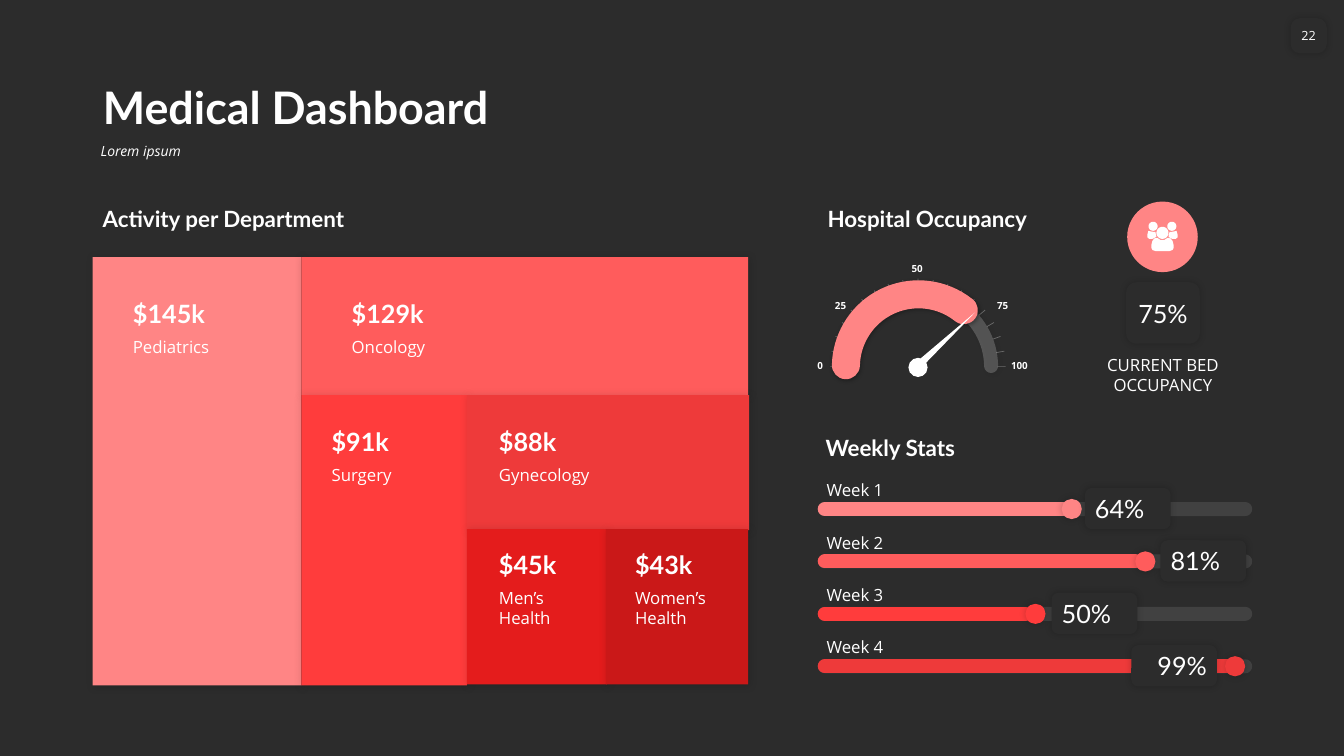
from dataclasses import dataclass
from math import cos, radians, sin

from lxml import etree
from pptx import Presentation
from pptx.dml.color import RGBColor
from pptx.enum.shapes import MSO_CONNECTOR, MSO_SHAPE as Preset
from pptx.enum.text import MSO_ANCHOR as Anchor, MSO_AUTO_SIZE as AutoSize, PP_ALIGN as Align
from pptx.oxml.ns import qn
from pptx.util import Inches, Pt


@dataclass(frozen=True)
class Theme:
    heading_font: str = "Lato"
    body_font: str = "Open Sans"
    background: str = "2C2C2C"
    white: str = "FFFFFF"
    rose: str = "FF8585"
    coral: str = "FF5C5C"
    red: str = "FF3C3C"
    brick: str = "EE3A3A"
    crimson: str = "E41C1C"
    garnet: str = "CA1818"
    title: int = 32
    value: int = 18
    heading: int = 16
    body: int = 12
    subtitle: int = 10
    page: int = 9
    scale: int = 7


THEME = Theme()

# Shadows: opacity %, blur pt, distance pt
SOFT = (20, 5, 0)
TILE = (15, 6, 1)
ARC = (30, 3, 1)

# Left, top, width, height, colour, text left, value top, text width, value, department
DEPARTMENTS = [
    (0.92, 2.55, 2.07, 4.25, THEME.rose, 1.22, 2.91, 1.86, "$145k", "Pediatrics"),
    (2.99, 2.55, 4.43, 1.37, THEME.coral, 3.39, 2.91, 1.86, "$129k", "Oncology"),
    (2.99, 3.92, 1.64, 2.88, THEME.red, 3.19, 4.18, 1.29, "$91k", "Surgery"),
    (4.63, 3.92, 2.8, 1.34, THEME.brick, 4.85, 4.18, 2.09, "$88k", "Gynecology"),
    (4.63, 5.25, 1.39, 1.54, THEME.crimson, 4.85, 5.4, 1.05, "$45k", "Men’s Health"),
    (6.01, 5.25, 1.41, 1.54, THEME.garnet, 6.2, 5.4, 1.05, "$43k", "Women’s Health"),
]

# Value, colour, bar end, knob left, badge left, badge alignment
WEEKS = [
    ("64%", THEME.rose, 10.6, 10.53, 10.76, Align.LEFT),
    ("81%", THEME.coral, 11.26, 11.26, 11.51, Align.LEFT),
    ("50%", THEME.red, 10.17, 10.17, 10.43, Align.LEFT),
    ("99%", THEME.brick, 12.27, 12.15, 11.22, Align.RIGHT),
]

# Label, left, top, width, alignment, anchor, wrap
GAUGE_LABELS = [
    ("0", 8, 3.52, 0.26, Align.RIGHT, Anchor.MIDDLE, False),
    ("25", 8.18, 2.92, 0.31, Align.RIGHT, Anchor.MIDDLE, False),
    ("50", 8.94, 2.55, 0.31, Align.RIGHT, Anchor.BOTTOM, False),
    ("75", 9.79, 2.92, 0.31, Align.LEFT, Anchor.MIDDLE, False),
    ("100", 9.93, 3.52, 0.45, Align.LEFT, Anchor.MIDDLE, True),
]


def box(*lengths):
    return [Inches(length) for length in lengths]


def set_text(shape, text, size, font=THEME.body_font, bold=False, italic=False,
             align=Align.LEFT, anchor=Anchor.TOP, wrap=True, inset=0.1):
    frame = shape.text_frame
    frame.word_wrap = wrap
    frame.vertical_anchor = anchor
    frame.margin_left = frame.margin_right = Inches(inset)
    frame.margin_top = frame.margin_bottom = Inches(0.05)
    frame.text = text
    paragraph = frame.paragraphs[0]
    paragraph.alignment = align
    run_font = paragraph.runs[0].font
    run_font.name, run_font.size = font, Pt(size)
    run_font.bold, run_font.italic = bold, italic
    run_font.color.rgb = RGBColor.from_string(THEME.white)
    return paragraph


def add_text(shapes, place, text, size, **style):
    shape = shapes.add_textbox(*box(*place))
    paragraph = set_text(shape, text, size, **style)
    shape.text_frame.auto_size = AutoSize.SHAPE_TO_FIT_TEXT
    return paragraph


def add_heading(shapes, left, top, text):
    add_text(shapes, (left, top, 4.34, 0.37), text, THEME.heading,
             font=THEME.heading_font, bold=True, anchor=Anchor.BOTTOM)


def set_alpha(color, percent):
    etree.SubElement(color, qn("a:alpha"), val=str(percent * 1000))


def set_shadow(shape, shadow):
    shape.shadow.inherit = False
    if shadow:
        opacity, blur, distance = shadow
        effects = shape.element.spPr.find(qn("a:effectLst"))
        outer = etree.SubElement(effects, qn("a:outerShdw"), blurRad=str(Pt(blur)),
                                 dist=str(Pt(distance)), dir=str(45 * 60000), rotWithShape="0")
        set_alpha(etree.SubElement(outer, qn("a:srgbClr"), val="000000"), opacity)


def add_filled(shapes, preset, place, color, shadow=None):
    shape = shapes.add_shape(preset, *box(*place))
    shape.fill.solid()
    shape.fill.fore_color.rgb = RGBColor.from_string(color)
    shape.line.fill.background()
    set_shadow(shape, shadow)
    return shape


def style_line(shape, color, width, opacity=100, cap="rnd"):
    shape.line.color.rgb = RGBColor.from_string(color)
    shape.line.width = Pt(width)
    outline = shape.element.spPr.find(qn("a:ln"))
    outline.set("cap", cap)
    if opacity < 100:
        set_alpha(outline.find(".//" + qn("a:srgbClr")), opacity)


def add_line(shapes, start, end, color, width, opacity=100, cap="rnd"):
    line = shapes.add_connector(MSO_CONNECTOR.STRAIGHT, *box(*start, *end))
    style_line(line, color, width, opacity, cap)
    etree.SubElement(line.element.spPr, qn("a:effectLst"))


def add_arc(shapes, start, end, color, width, opacity=100):
    arc = shapes.add_shape(Preset.ARC, *box(8.39, 2.92, 1.44, 1.44))
    arc.adjustments[0], arc.adjustments[1] = start, end
    arc.fill.background()
    style_line(arc, color, width, opacity)
    set_shadow(arc, ARC)


def add_department(shapes, left, top, width, height, color,
                   text_left, text_top, text_width, value, name):
    add_filled(shapes, Preset.RECTANGLE, (left, top, width, height), color, TILE)
    add_text(shapes, (text_left, text_top, text_width, 0.4), value, THEME.value,
             font=THEME.heading_font, bold=True, anchor=Anchor.BOTTOM)
    add_text(shapes, (text_left, text_top + 0.385, text_width, 0.3), name, THEME.body)


def add_gauge(shapes):
    gauge = shapes.add_group_shape().shapes
    center_x, center_y = 9.105, 3.635
    add_arc(gauge, 107.69, 215.58, THEME.white, 10, opacity=20)
    add_filled(gauge, Preset.OVAL, (9.01, 3.55, 0.19, 0.19), THEME.white)
    for angle in range(0, 181, 10):
        outer, inner = [(center_x - radius * cos(radians(angle)),
                         center_y - radius * sin(radians(angle))) for radius in (0.87, 0.79)]
        add_line(gauge, outer, inner, THEME.white, 0.5, opacity=30, cap="flat")
    for text, left, top, width, align, anchor, wrap in GAUGE_LABELS:
        add_text(gauge, (left, top, width, 0.22), text, THEME.scale, bold=True,
                 align=align, anchor=anchor, wrap=wrap)
    add_arc(gauge, 108.8, 185.2, THEME.rose, 20)
    needle = add_filled(shapes, Preset.ISOSCELES_TRIANGLE, (9.33, 2.97, 0.08, 0.82), THEME.white)
    needle.rotation = 47


def add_people_icon(shapes):
    middle = 11.53
    heads = [(middle - 0.093, 2.245, 0.045), (middle, 2.31, 0.06), (middle + 0.093, 2.245, 0.045)]
    contours = [[(x + radius * cos(radians(a)), y + radius * sin(radians(a)))
                 for a in range(0, 360, 15)] for x, y, radius in heads]
    # Half outlines, as distance from the middle and height
    side = [(0.06, 2.35), (0.1, 2.37), (0.13, 2.37), (0.15, 2.355), (0.15, 2.33),
            (0.14, 2.29), (0.12, 2.295), (0.09, 2.3), (0.07, 2.3)]
    body = [(0, 2.38), (0.02, 2.38), (0.05, 2.36), (0.08, 2.365), (0.1, 2.39),
            (0.11, 2.43), (0.11, 2.46), (0.1, 2.48), (0.07, 2.49)]
    left_side, right_side = [[(middle + sign * x, y) for x, y in side] for sign in (-1, 1)]
    torso = [(middle + x, y) for x, y in body] + [(middle - x, y) for x, y in reversed(body)]
    contours += [left_side, right_side, torso]
    builder = shapes.build_freeform(*box(*contours[0][0]))
    for index, points in enumerate(contours):
        if index:
            builder.move_to(*box(*points[0]))
        builder.add_line_segments([box(*point) for point in points[1:]], close=True)
    icon = builder.convert_to_shape()
    icon.fill.solid()
    icon.fill.fore_color.rgb = RGBColor.from_string(THEME.white)
    icon.line.fill.background()
    set_shadow(icon, None)


def add_week(shapes, number, value, color, bar_end, knob_left, badge_left, align):
    y = 5.05 + 0.52 * (number - 1)
    add_text(shapes, (8.1, y - 0.34, 1.94, 0.3), f"Week {number}", THEME.body,
             anchor=Anchor.BOTTOM)
    add_line(shapes, (8.18, y), (12.35, y), THEME.white, 10, opacity=10)
    add_line(shapes, (8.18, y), (bar_end, y), color, 10)
    add_filled(shapes, Preset.OVAL, (knob_left, y - 0.1, 0.2, 0.2), color, SOFT)
    badge = add_filled(shapes, Preset.ROUNDED_RECTANGLE, (badge_left, y - 0.21, 0.85, 0.41),
                       THEME.background, SOFT)
    set_text(badge, value, THEME.value, font=THEME.heading_font, align=align,
             anchor=Anchor.MIDDLE, inset=0.08)


def main():
    presentation = Presentation()
    presentation.slide_width, presentation.slide_height = box(13.33, 7.5)
    slide = presentation.slides.add_slide(presentation.slide_layouts[5])
    slide.background.fill.solid()
    slide.background.fill.fore_color.rgb = RGBColor.from_string(THEME.background)
    shapes = slide.shapes

    # Title, subtitle and page number
    title = shapes.title
    title.left, title.top, title.width, title.height = box(0.92, 0.58, 11.5, 0.8)
    set_text(title, "Medical Dashboard", THEME.title, font=THEME.heading_font, bold=True,
             anchor=Anchor.BOTTOM).line_spacing = 0.9
    add_text(shapes, (0.9, 1.38, 11.52, 0.36), "Lorem ipsum", THEME.subtitle,
             italic=True).line_spacing = 0.9
    page = add_filled(shapes, Preset.ROUNDED_RECTANGLE, (12.8, 0.18, 0.36, 0.35),
                      THEME.background, SOFT)
    page.adjustments[0] = 0.27
    set_text(page, "22", THEME.page, align=Align.CENTER, anchor=Anchor.MIDDLE,
             wrap=False, inset=0)

    # Activity treemap
    add_heading(shapes, 0.92, 1.98, "Activity per Department")
    for department in DEPARTMENTS:
        add_department(shapes, *department)

    # Occupancy gauge and summary
    add_heading(shapes, 8.11, 1.98, "Hospital Occupancy")
    add_gauge(shapes)
    badge = add_filled(shapes, Preset.ROUNDED_RECTANGLE, (11.17, 2.8, 0.73, 0.61),
                       THEME.background, SOFT)
    set_text(badge, "75%", THEME.value, font=THEME.heading_font, align=Align.CENTER,
             anchor=Anchor.MIDDLE, inset=0)
    add_text(shapes, (10.8, 3.47, 1.47, 0.5), "CURRENT BED OCCUPANCY", THEME.body,
             align=Align.CENTER, inset=0.04)
    add_filled(shapes, Preset.OVAL, (11.18, 2, 0.7, 0.7), THEME.rose)
    add_people_icon(shapes)

    # Weekly sliders
    add_heading(shapes, 8.09, 4.25, "Weekly Stats")
    for number, week in enumerate(WEEKS, start=1):
        add_week(shapes, number, *week)

    presentation.save("out.pptx")


if __name__ == "__main__":
    main()
